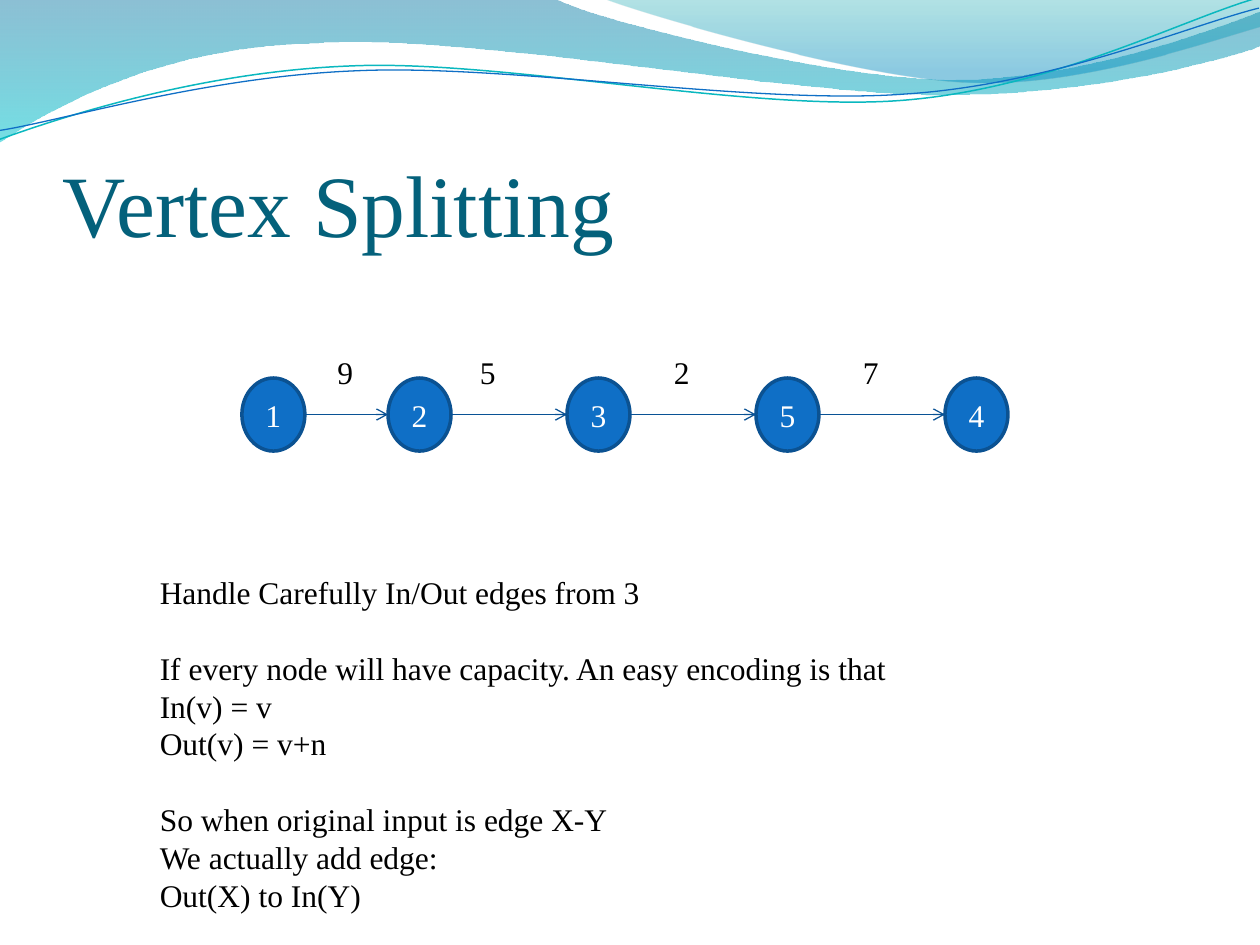
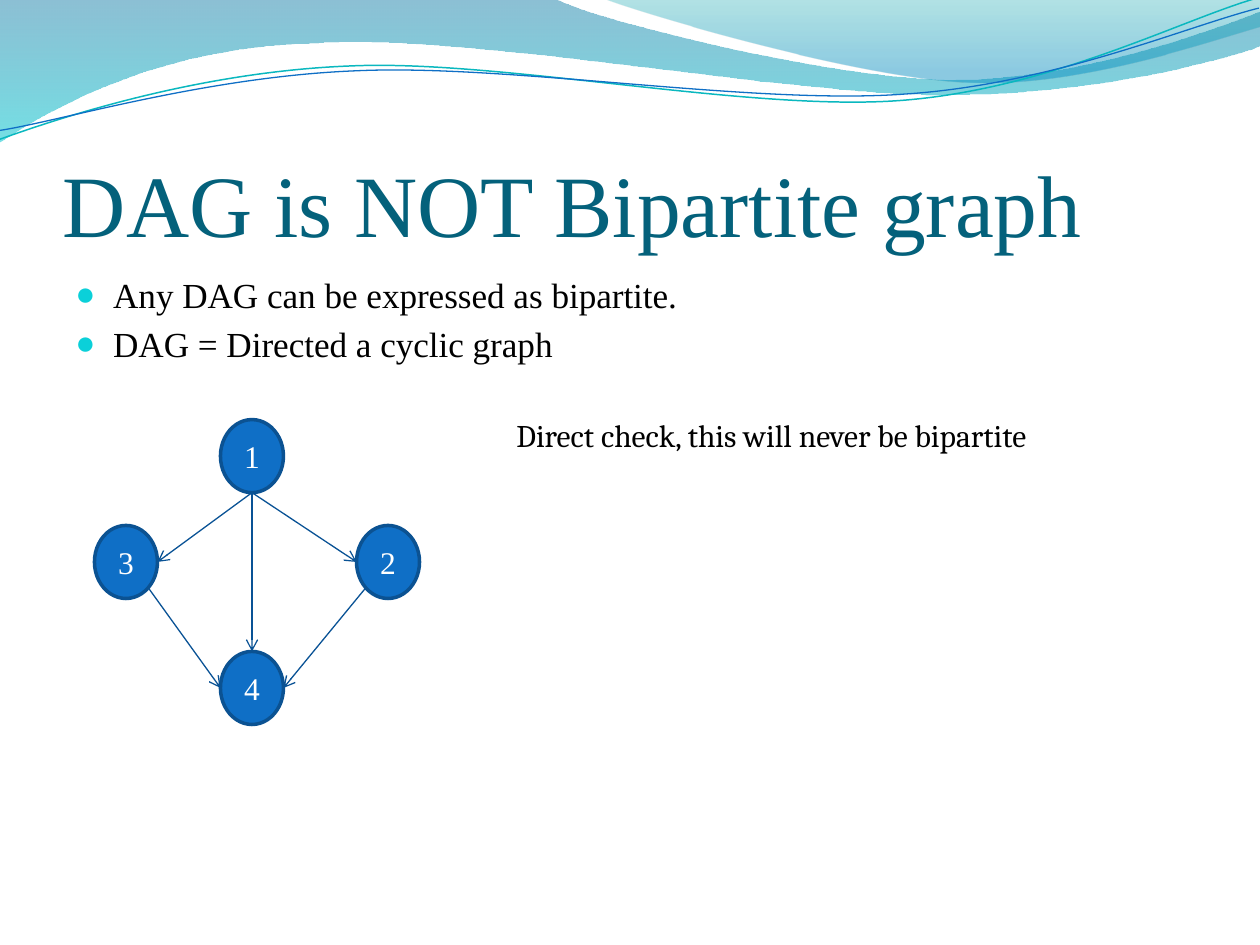
from math import cos, radians, sin

from pptx import Presentation
from pptx.dml.color import RGBColor
from pptx.enum.shapes import MSO_CONNECTOR as Connector, MSO_SHAPE as Preset
from pptx.enum.text import MSO_ANCHOR as Anchor, PP_ALIGN as Align
from pptx.oxml.ns import qn
from pptx.oxml.xmlchemy import OxmlElement
from pptx.util import Inches, Pt

SERIF = "Times New Roman"
NODE_WIDTH, NODE_HEIGHT = 0.5, 0.58
WAVE_ROTATION = 357.3
# Screen angles in degrees, clockwise from the right side of a node
RIGHT, BOTTOM_RIGHT, BOTTOM, BOTTOM_LEFT, LEFT, TOP = 0, 45, 90, 135, 180, 270

# Each segment holds one point (straight) or three points (Bezier curve)
BANDS = [
    {"start": (0, 0),
     "segments": [[(4.4, -0.01)],
                  [(4.76, 0.17), (6.64, 0.63), (7.58, 0.63)],
                  [(8.53, 0.63), (9.58, 0.26), (10, 0.09)],
                  [(10.01, 0.36)],
                  [(9.83, 0.44), (8.7, 0.76), (7.46, 0.75)],
                  [(6.22, 0.75), (3.82, 0.28), (2.57, 0.34)],
                  [(1.29, 0.36), (0.46, 0.83), (-0.01, 1.13)],
                  [(0, 0)]],
     "stops": [(0, "0074A1", 45), (1, "00C6CF", 55)]},
    {"start": (4.79, -0.01),
     "segments": [[(5.09, 0.11), (6.82, 0.62), (7.69, 0.65)],
                  [(8.56, 0.69), (9.61, 0.32), (10, 0.21)],
                  [(10, 0)],
                  [(4.79, -0.01)]],
     "stops": [(0, "00A1A9", 30), (0.8, "008BBF", 45)]},
]
WAVES = [
    {"start": (-0.02, 0.87),
     "segments": [[(0.47, 0.72), (1.58, 0.41), (2.78, 0.42)],
                  [(3.96, 0.42), (5.91, 0.93), (7.12, 0.9)],
                  [(8.32, 0.87), (9.4, 0.36), (10, 0.22)]],
     "color": "0AB8BF", "width": 0.85},
    {"start": (-0.02, 0.8),
     "segments": [[(0.46, 0.75), (1.64, 0.45), (2.83, 0.46)],
                  [(4.03, 0.46), (5.96, 0.88), (7.16, 0.85)],
                  [(8.35, 0.83), (9.42, 0.42), (10.01, 0.3)]],
     "color": "0F6FC6", "width": 0.75},
]


def rgb(color):
    return RGBColor.from_string(color)


def add_xml(parent, tag, **attributes):
    child = OxmlElement(tag)
    for name, value in attributes.items():
        child.set(name, str(value))
    parent.append(child)
    return child


def bend(shape, segments):
    """Turn each three-point run of straight lines into one Bezier curve."""
    lines = iter(list(shape._element.iter(qn("a:lnTo"))))
    for segment in segments:
        first, *others = [next(lines) for _ in segment]
        if others:
            first.tag = qn("a:cubicBezTo")
            for line in others:
                first.append(line[0])
                line.getparent().remove(line)


def rim_point(node, angle):
    """Return the point on an ellipse's rim at the given angle."""
    turn = radians(angle)
    return (round(node.left + node.width / 2 * (1 + cos(turn))),
            round(node.top + node.height / 2 * (1 + sin(turn))))


class GraphDeck:
    def __init__(self):
        self.deck = Presentation()
        self.deck.slide_width, self.deck.slide_height = Inches(10), Inches(7.5)
        self.layout = self.deck.slide_layouts[6]
        self.page = None

    def new_page(self, title):
        self.page = self.deck.slides.add_slide(self.layout)
        if len(self.deck.slides) == 1:
            self.decorate_layout()
        frame = self.text(0.5, 0.77, 9, 1.25, [(title, 0)], size=50, color="04617B")
        frame_format = {"vertical_anchor": Anchor.BOTTOM, "margin_left": 0,
                        "margin_right": 0, "margin_bottom": 0}
        for name, value in frame_format.items():
            setattr(frame, name, value)

    def decorate_layout(self):
        for band in BANDS:
            self.band(**band)
        for wave in WAVES:
            self.wave(**wave)

    def outline(self, start, segments, close):
        """Draw a curved outline and move it to the layout that all pages share."""
        points = [(Inches(x), Inches(y))
                  for x, y in [start, *(point for part in segments for point in part)]]
        builder = self.page.shapes.build_freeform(*points[0], scale=1.0)
        builder.add_line_segments(points[1:], close=close)
        shape = builder.convert_to_shape()
        shape.shadow.inherit = False
        bend(shape, segments)
        self.layout.shapes._spTree.append(shape._element)
        return shape

    def band(self, start, segments, stops):
        shape = self.outline(start, segments, close=True)
        shape.line.fill.background()
        shape.fill.gradient()
        shape.fill.gradient_angle = 270
        for stop, (position, color, _) in zip(shape.fill.gradient_stops, stops):
            stop.position = position
            stop.color.rgb = rgb(color)
        colors = list(shape._element.spPr.iter(qn("a:srgbClr")))
        for element, (_, _, opacity) in zip(colors, stops):
            add_xml(element, "a:alpha", val=opacity * 1000)

    def wave(self, start, segments, color, width):
        shape = self.outline(start, segments, close=False)
        shape.rotation = WAVE_ROTATION
        shape.fill.background()
        self.stroke(shape, color, width)

    def stroke(self, shape, color, width):
        shape.line.color.rgb = rgb(color)
        shape.line.width = Pt(width)

    def style_text(self, para, size, color, font):
        for span in para.runs:
            span.font.color.rgb = rgb(color)
            for name, value in {"size": Pt(size), "name": font}.items():
                setattr(span.font, name, value)

    def text(self, left, top, width, height, lines, size=18, color="000000",
             font=SERIF, leading=None, bullets=False):
        """Add a text box; each line is its wording and its space before in points."""
        box = self.page.shapes.add_textbox(*map(Inches, (left, top, width, height)))
        frame = box.text_frame
        frame.word_wrap = True
        for index, (wording, gap) in enumerate(lines):
            para = frame.paragraphs[0] if index == 0 else frame.add_paragraph()
            para.text = wording
            if bullets:
                self.bullet(para)
            if gap:
                para.space_before = Pt(gap)
            if leading:
                para.line_spacing = Pt(leading)
            self.style_text(para, size, color, font)
        return frame

    def bullet(self, para):
        props = para._p.get_or_add_pPr()
        for name, value in {"marL": Inches(0.3), "indent": -Inches(0.3)}.items():
            props.set(name, str(value))
        add_xml(add_xml(props, "a:buClr"), "a:srgbClr", val="0BD0D9")
        add_xml(props, "a:buSzPct", val=95000)
        add_xml(props, "a:buFont", typeface=SERIF)
        add_xml(props, "a:buChar", char="●")

    def node(self, label, left, top):
        shape = self.page.shapes.add_shape(
            Preset.OVAL, *map(Inches, (left, top, NODE_WIDTH, NODE_HEIGHT)))
        shape.shadow.inherit = False
        shape.fill.solid()
        shape.fill.fore_color.rgb = rgb("0F6FC6")
        self.stroke(shape, "0B5292", 2)
        frame = shape.text_frame
        frame.vertical_anchor = Anchor.MIDDLE
        para = frame.paragraphs[0]
        para.text = label
        para.alignment = Align.CENTER
        self.style_text(para, 18, "FFFFFF", SERIF)
        return shape

    def edge(self, source, source_angle, target, target_angle):
        line = self.page.shapes.add_connector(
            Connector.STRAIGHT, *rim_point(source, source_angle),
            *rim_point(target, target_angle))
        self.stroke(line, "095295", 0.75)
        add_xml(line._element.spPr.find(qn("a:ln")), "a:tailEnd", type="arrow")
        add_xml(line._element.spPr, "a:effectLst")


def vertex_splitting(graph):
    graph.new_page("Vertex Splitting")
    chain = [("1", 1.92), ("2", 3.08), ("3", 4.5), ("5", 6), ("4", 7.5)]
    nodes = [graph.node(label, left, 3) for label, left in chain]
    for source, target in zip(nodes, nodes[1:]):
        graph.edge(source, RIGHT, target, LEFT)
    for capacity, left in [("9", 2.58), ("5", 3.71), ("2", 5.25), ("7", 6.75)]:
        graph.text(left, 2.75, 0.33, 0.4, [(capacity, 0)])
    leading = 21.6
    graph.text(1.17, 4.5, 6.03, 2.83, [
        ("Handle Carefully In/Out edges from 3", 0),
        ("If every node will have capacity. An easy encoding is that", leading),
        ("In(v) = v", 0),
        ("Out(v) = v+n", 0),
        ("So when original input is edge X-Y", leading),
        ("We actually add edge:", 0),
        ("Out(X) to In(Y)", 0),
    ], leading=leading)


def dag_not_bipartite(graph):
    graph.new_page("DAG is NOT Bipartite graph")
    graph.text(0.5, 2.12, 8.75, 0.72, [
        ("Any DAG can be expressed as bipartite.", 0),
        ("DAG = Directed a cyclic graph", 4),
    ], size=20.1, leading=24, bullets=True)
    top = graph.node("1", 1.75, 3.33)
    right = graph.node("2", 2.83, 4.17)
    left = graph.node("3", 0.75, 4.17)
    bottom = graph.node("4", 1.75, 5.17)
    for edge in [(left, BOTTOM_RIGHT, bottom, LEFT),
                 (top, BOTTOM, bottom, TOP),
                 (right, BOTTOM_LEFT, bottom, RIGHT),
                 (top, BOTTOM, left, RIGHT),
                 (top, BOTTOM, right, LEFT)]:
        graph.edge(*edge)
    graph.text(4, 3.25, 4.53, 0.4,
               [("Direct check, this will never be bipartite", 0)], font="Cambria")


def main():
    graph = GraphDeck()
    vertex_splitting(graph)
    dag_not_bipartite(graph)
    graph.deck.save("out.pptx")


if __name__ == "__main__":
    main()
